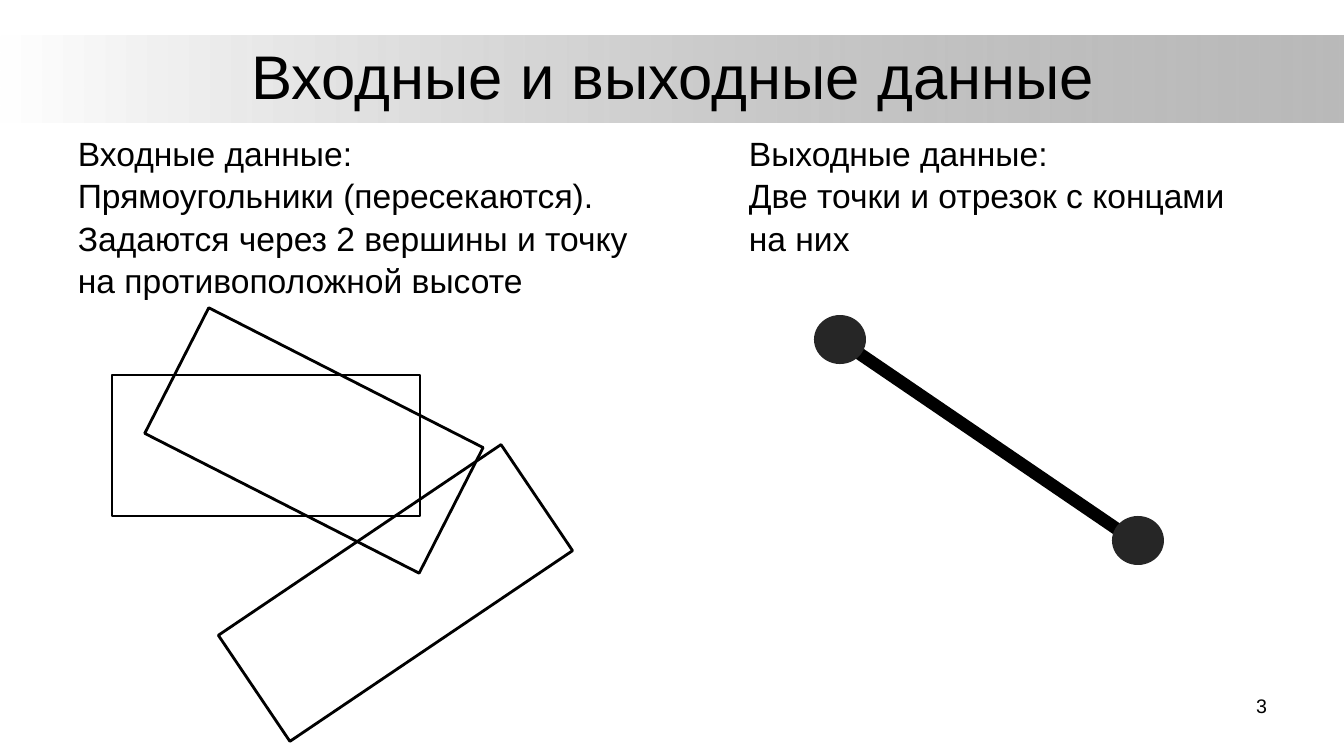
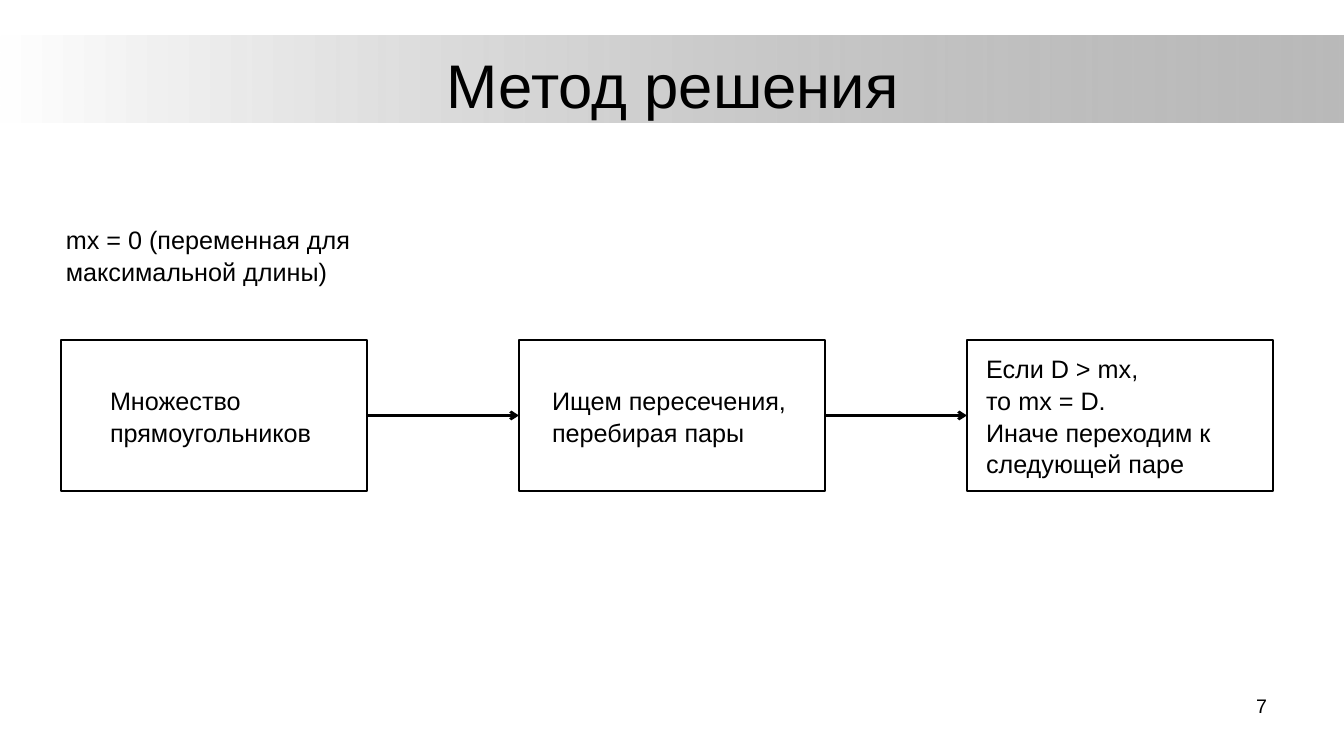
from lxml.etree import SubElement
from pptx import Presentation
from pptx.dml.color import RGBColor
from pptx.enum.shapes import MSO_CONNECTOR as Connector, MSO_SHAPE as Preset
from pptx.enum.text import MSO_ANCHOR as Anchor, MSO_AUTO_SIZE as AutoSize, PP_ALIGN as Align
from pptx.oxml.ns import qn
from pptx.util import Emu, Pt

PIXEL = 914400 / 100.8
WIDTH, HEIGHT = 1344, 756
TITLE_ONLY = 5
LEFT_SITE, RIGHT_SITE = 1, 3


def px(*lengths):
    """Turn picture pixels into EMU lengths."""
    return [Emu(round(length * PIXEL)) for length in lengths]


def color(value):
    """Turn a hex string into a colour."""
    return RGBColor.from_string(value)


class Deck:
    """Hold the shared style and the current slide."""

    FONT = "Arial"
    INK = "000000"
    DOT = "262626"
    BAND_START, BAND_END, BAND_ALPHA = "FFFFFF", "808080", "54000"
    TITLE_SIZE, NUMBER_SIZE = 44, 14
    LINE_SPACING = 1.05

    def __init__(self):
        """Start an empty widescreen presentation."""
        self.presentation = Presentation()
        self.presentation.slide_width, self.presentation.slide_height = px(WIDTH, HEIGHT)
        self.slide = None

    def add_slide(self, title, number, top, height):
        """Add a slide with the band, its title and its page number."""
        layout = self.presentation.slide_layouts[TITLE_ONLY]
        self.slide = self.presentation.slides.add_slide(layout)
        self.add_band()
        shape = self.slide.shapes.title
        shape.left, shape.top, shape.width, shape.height = px(68, top, 1210, height)
        self.set_text(shape.text_frame, [title], self.TITLE_SIZE, Align.CENTER, Anchor.MIDDLE, 1)
        self.add_text([number], self.NUMBER_SIZE, 964, 688, 313, 52, Align.RIGHT)

    def add_band(self):
        """Draw the fading band behind everything else."""
        band = self.add_shape(Preset.RECTANGLE, 0, 36, WIDTH, 87)
        band.fill.gradient()
        band.fill.gradient_angle = 0
        for stop, value in zip(band.fill.gradient_stops, (self.BAND_START, self.BAND_END)):
            stop.color.rgb = color(value)
        *_, end_color = band.element.iter(qn("a:srgbClr"))
        SubElement(end_color, qn("a:alpha"), val=self.BAND_ALPHA)
        self.slide.shapes.element.insert(2, band.element)

    def set_text(self, frame, lines, size, align=Align.LEFT, anchor=Anchor.TOP,
                 spacing=LINE_SPACING):
        """Fill a text frame with one paragraph per line."""
        frame.word_wrap = True
        frame.auto_size = AutoSize.NONE
        frame.vertical_anchor = anchor
        frame.text = "\n".join(lines)
        for paragraph in frame.paragraphs:
            paragraph.alignment = align
            paragraph.line_spacing = spacing
            paragraph.font.name = self.FONT
            paragraph.font.size = Pt(size)
            paragraph.font.color.rgb = color(self.INK)

    def add_text(self, lines, size, left, top, width, height, align=Align.LEFT):
        """Add a text box."""
        box = self.slide.shapes.add_textbox(*px(left, top, width, height))
        self.set_text(box.text_frame, lines, size, align)

    def add_shape(self, preset, left, top, width, height):
        """Add a preset shape with no fill, line or shadow."""
        shape = self.slide.shapes.add_shape(preset, *px(left, top, width, height))
        shape.shadow.inherit = False
        shape.fill.background()
        shape.line.fill.background()
        return shape

    def add_outline(self, left, top, width, height, rotation=0):
        """Add an outlined rectangle."""
        shape = self.add_shape(Preset.RECTANGLE, left, top, width, height)
        shape.line.color.rgb = color(self.INK)
        shape.line.width = Pt(2)
        shape.rotation = rotation
        return shape

    def add_step(self, lines, left, indent):
        """Add a box of the flow, its text indented from the left."""
        shape = self.add_outline(left, 340, 306, 151)
        self.set_text(shape.text_frame, lines, 18, anchor=Anchor.MIDDLE)
        shape.text_frame.margin_left, = px(indent)
        return shape

    def add_dot(self, left, top):
        """Add an end point of the segment."""
        dot = self.add_shape(Preset.OVAL, left, top, 52, 49)
        dot.fill.solid()
        dot.fill.fore_color.rgb = color(self.DOT)

    def add_line(self, start, end, width):
        """Add a straight line between two points."""
        line = self.slide.shapes.add_connector(Connector.STRAIGHT, *px(*start, *end))
        line.line.color.rgb = color(self.INK)
        line.line.width = Pt(width)
        SubElement(line.element.spPr, qn("a:effectLst"))
        return line

    def add_arrow(self, source, target):
        """Join two boxes with an arrow."""
        arrow = self.add_line((0, 0), (0, 0), 2)
        arrow.begin_connect(source, RIGHT_SITE)
        arrow.end_connect(target, LEFT_SITE)
        SubElement(arrow.element.spPr.find(qn("a:ln")), qn("a:tailEnd"), type="arrow")


def add_data_slide(deck):
    """Show the input rectangles and the output segment."""
    deck.add_slide("Входные и выходные данные", "3", 23, 103)
    deck.add_text(["Входные данные:",
                   "Прямоугольники (пересекаются). Задаются через 2 вершины "
                   "и точку на противоположной высоте"], 24, 68, 126, 606, 173)
    deck.add_outline(112, 375, 308, 141)
    deck.add_outline(225, 529, 341, 128, 326)
    deck.add_outline(160, 370, 308, 141, 27)
    deck.add_text(["Выходные данные:", "Две точки и отрезок с концами на них"],
                  24, 739, 126, 537, 132)
    deck.add_line((838, 339), (1136, 542), 9)
    deck.add_dot(1112, 516)
    deck.add_dot(814, 315)


def add_method_slide(deck):
    """Show the steps of the method as a flow."""
    deck.add_slide("Метод решения", "7", 30, 107)
    deck.add_text(["mx = 0 (переменная для максимальной длины)"], 18, 56, 218, 444, 72)
    steps = [deck.add_step(lines, left, indent) for lines, left, indent in (
        (["Множество прямоугольников"], 61, 49),
        (["Ищем пересечения, перебирая пары"], 519, 33),
        (["Если D > mx,", "то mx = D.", "Иначе переходим к следующей паре"], 967, 19),
    )]
    for source, target in zip(steps, steps[1:]):
        deck.add_arrow(source, target)


deck = Deck()
add_data_slide(deck)
add_method_slide(deck)
deck.presentation.save("out.pptx")
